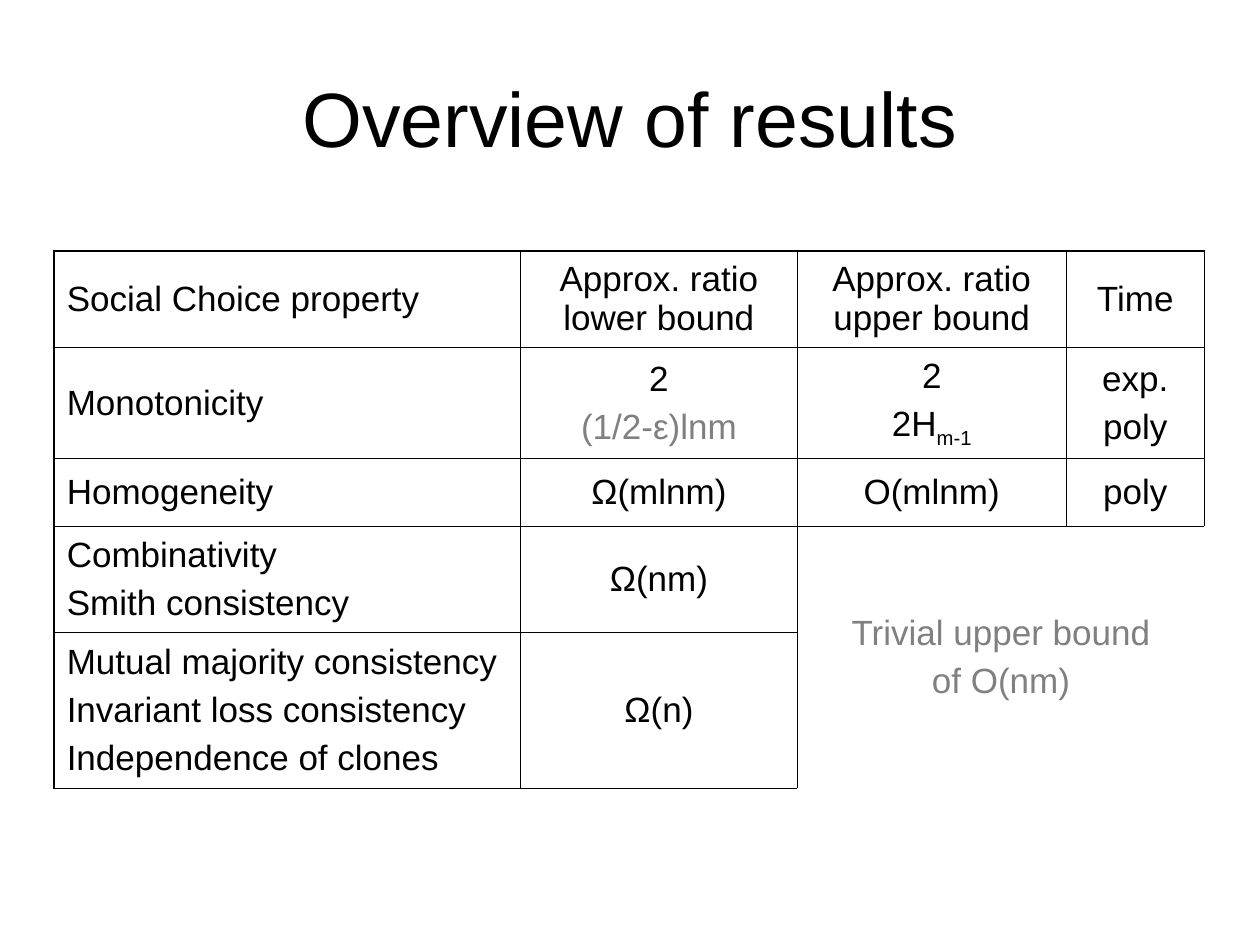
from dataclasses import dataclass

from lxml.etree import SubElement
from pptx import Presentation
from pptx.dml.color import RGBColor
from pptx.enum.text import MSO_ANCHOR, PP_ALIGN
from pptx.oxml.ns import qn
from pptx.table import Table, _Cell
from pptx.util import Inches, Pt


@dataclass(frozen=True)
class Theme:
    font: str = "Arial"
    ink: str = "000000"
    muted: str = "808080"
    title_size: float = 44
    body_size: float = 20
    paragraph_gap: float = 5
    inner_line: float = 0.45
    outer_line: float = 1.08


@dataclass(frozen=True)
class Line:
    text: str
    muted: bool = False
    subscript: str = ""


@dataclass(frozen=True)
class Entry:
    row: int
    column: int
    lines: tuple[Line, ...]
    row_span: int = 1
    column_span: int = 1


THEME = Theme()
COLUMN_WIDTHS = (3.7, 2.2, 2.13, 1.1)
ROW_HEIGHTS = (0.77, 0.88, 0.54, 0.84, 1.24)
ENTRIES = (
    Entry(0, 0, (Line("Social Choice property"),)),
    Entry(0, 1, (Line("Approx. ratio lower bound"),)),
    Entry(0, 2, (Line("Approx. ratio upper bound"),)),
    Entry(0, 3, (Line("Time"),)),
    Entry(1, 0, (Line("Monotonicity"),)),
    Entry(1, 1, (Line("2"), Line("(1/2-ε)lnm", muted=True))),
    Entry(1, 2, (Line("2"), Line("2H", subscript="m-1"))),
    Entry(1, 3, (Line("exp."), Line("poly"))),
    Entry(2, 0, (Line("Homogeneity"),)),
    Entry(2, 1, (Line("Ω(mlnm)"),)),
    Entry(2, 2, (Line("O(mlnm)"),)),
    Entry(2, 3, (Line("poly"),)),
    Entry(3, 0, (Line("Combinativity"), Line("Smith consistency"))),
    Entry(3, 1, (Line("Ω(nm)"),)),
    Entry(3, 2, (Line("Trivial upper bound", muted=True), Line("of O(nm)", muted=True)), 2, 2),
    Entry(4, 0, (Line("Mutual majority consistency"), Line("Invariant loss consistency"),
                 Line("Independence of clones"))),
    Entry(4, 1, (Line("Ω(n)"),)),
)


def format_span(span, size: float, color: str) -> None:
    span.font.name = THEME.font
    span.font.size = Pt(size)
    span.font.color.rgb = RGBColor.from_string(color)


def write_lines(cell: _Cell, lines: tuple[Line, ...], alignment: PP_ALIGN) -> None:
    cell.vertical_anchor = MSO_ANCHOR.MIDDLE
    frame = cell.text_frame
    frame.text = "\n".join(line.text for line in lines)
    for index, (para, line) in enumerate(zip(frame.paragraphs, lines)):
        para.alignment = alignment
        if index:
            para.space_before = Pt(THEME.paragraph_gap)
        if line.subscript:
            span = para.add_run()
            span.text = line.subscript
            span.font._element.set("baseline", "-25000")
        for span in para.runs:
            format_span(span, THEME.body_size, THEME.muted if line.muted else THEME.ink)


def add_border(cell: _Cell, side: str, width: float) -> None:
    properties = cell._tc.get_or_add_tcPr()
    border = SubElement(properties, qn(f"a:ln{side}"), w=str(int(Pt(width))))
    fill = SubElement(border, qn("a:solidFill"))
    SubElement(fill, qn("a:srgbClr"), val=THEME.ink)


def style_area(table: Table, entry: Entry) -> None:
    """Outline the area an entry covers, heavier where it meets the table's edge."""
    bottom = entry.row + entry.row_span - 1
    right = entry.column + entry.column_span - 1
    last_row, last_column = len(ROW_HEIGHTS) - 1, len(COLUMN_WIDTHS) - 1
    for row in range(entry.row, bottom + 1):
        for column in range(entry.column, right + 1):
            cell = table.cell(row, column)
            sides = (
                ("L", column == entry.column, column == 0),
                ("R", column == right, column == last_column),
                ("T", row == entry.row, row == 0),
                ("B", row == bottom, row == last_row),
            )
            for side, on_edge, is_outer in sides:
                if on_edge:
                    add_border(cell, side, THEME.outer_line if is_outer else THEME.inner_line)
            cell.fill.background()
    if entry.row_span > 1 or entry.column_span > 1:
        table.cell(entry.row, entry.column).merge(table.cell(bottom, right))


def add_results_table(page) -> None:
    table = page.shapes.add_table(
        len(ROW_HEIGHTS), len(COLUMN_WIDTHS), Inches(0.43), Inches(1.99),
        Inches(sum(COLUMN_WIDTHS)), Inches(sum(ROW_HEIGHTS)),
    ).table
    table.first_row = False
    table.horz_banding = False
    for column, width in zip(table.columns, COLUMN_WIDTHS):
        column.width = Inches(width)
    for row, height in zip(table.rows, ROW_HEIGHTS):
        row.height = Inches(height)
    for entry in ENTRIES:
        style_area(table, entry)
        alignment = PP_ALIGN.CENTER if entry.column else PP_ALIGN.LEFT
        write_lines(table.cell(entry.row, entry.column), entry.lines, alignment)


def add_title(page, text: str) -> None:
    title = page.shapes.title
    title.left, title.top = Inches(0.5), Inches(0.3)
    title.width, title.height = Inches(9), Inches(1.25)
    frame = title.text_frame
    frame.text = text
    frame.vertical_anchor = MSO_ANCHOR.MIDDLE
    para = frame.paragraphs[0]
    para.alignment = PP_ALIGN.CENTER
    format_span(para.runs[0], THEME.title_size, THEME.ink)


def main() -> None:
    deck = Presentation()
    deck.slide_width, deck.slide_height = Inches(10), Inches(7.5)
    page = deck.slides.add_slide(deck.slide_layouts[5])
    add_title(page, "Overview of results")
    add_results_table(page)
    deck.save("out.pptx")


if __name__ == "__main__":
    main()
